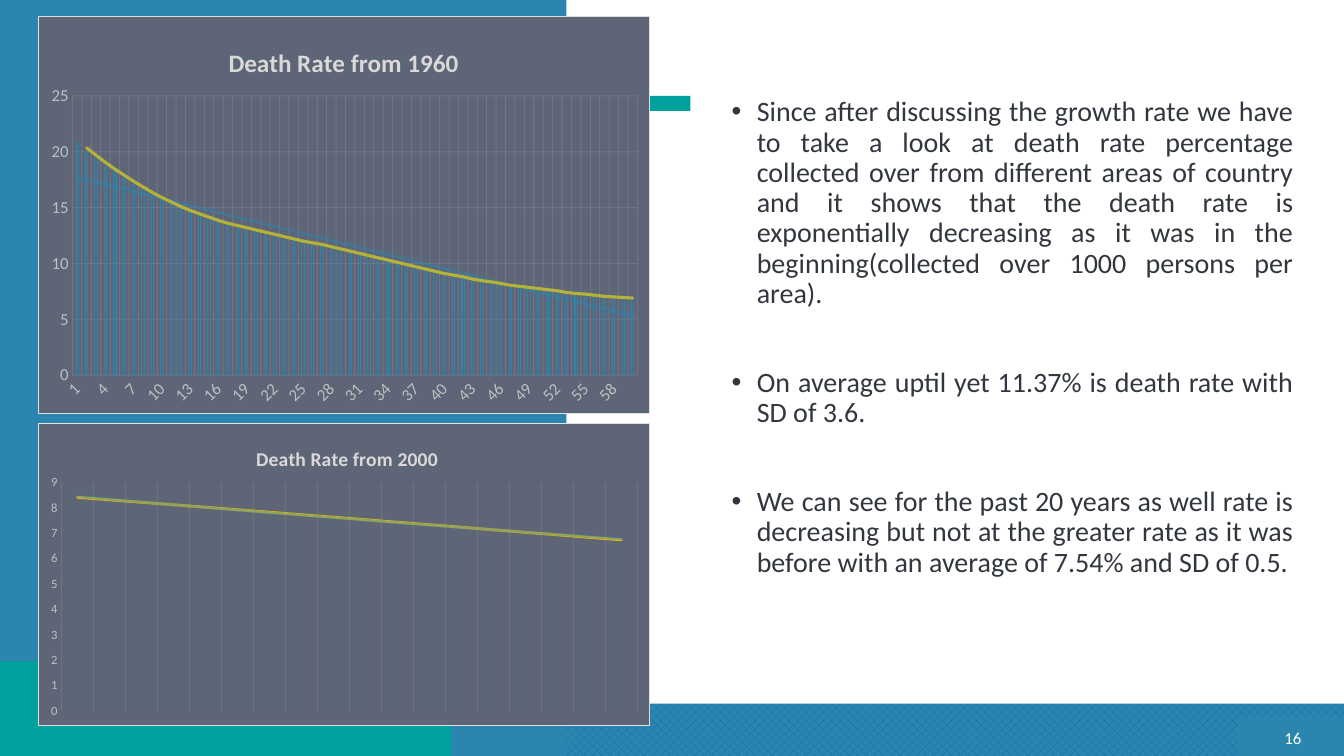
from dataclasses import dataclass
from typing import Any

from lxml import etree
from pptx import Presentation, util as u
from pptx.chart.data import CategoryChartData
from pptx.dml.color import RGBColor
from pptx.enum import chart as ch, dml, shapes, text
from pptx.oxml import parse_xml
from pptx.oxml.ns import nsdecls, qn


@dataclass(frozen=True)
class Theme:
    font: str = "Calibri"
    blue: str = "2C85AE"
    weave: str = "0070C0"
    teal: str = "00A09D"
    white: str = "FFFFFF"
    ink: str = "32363F"
    slate: str = "5E6576"
    border: str = "DEE0E5"
    label: str = "BFBFBF"
    title: str = "D9D9D9"
    gold: str = "FFC000"
    olive: str = "B5B23A"
    body_size: float = 20
    number_size: float = 12
    chart_size: float = 10


@dataclass(frozen=True)
class Box:
    left: float
    top: float
    width: float
    height: float

    def points(self) -> tuple:
        return tuple(u.Pt(v) for v in (self.left, self.top, self.width, self.height))


@dataclass(frozen=True)
class Panel:
    box: Box
    color: str


@dataclass(frozen=True)
class Trend:
    kind: str
    color: str
    width: float
    opacity: int = 100


@dataclass(frozen=True)
class RateChart:
    box: Box
    title: str
    title_size: float
    title_at: tuple[float, float]
    plot_area: tuple[float, float, float, float]
    label_size: float
    top_value: int
    step: int
    rates: list[float]
    bar_opacity: int
    trends: list[Trend]
    show_categories: bool


THEME = Theme()
PANELS = [
    Panel(Box(884.2, 512.6, 75.8, 27.4), THEME.blue),
    Panel(Box(0, 0, 960, 502.6), THEME.white),
    Panel(Box(0, 0, 404.6, 540), THEME.blue),
    Panel(Box(0, 472.3, 322.6, 67.7), THEME.teal),
    Panel(Box(170.6, 68.4, 322.6, 10.8), THEME.teal),
]
FINDINGS = [
    "Since after discussing the growth rate we have to take a look at death rate percentage "
    "collected over from different areas of country and it shows that the death rate is "
    "exponentially decreasing as it was in the beginning(collected over 1000 persons per area).",
    "On average uptil yet 11.37% is death rate with SD of 3.6.",
    "We can see for the past 20 years as well rate is decreasing but not at the greater rate "
    "as it was before with an average of 7.54% and SD of 0.5.",
]
RATES_1960 = [
    20.7, 20, 19.4, 18.7, 18.2, 17.6, 17.1, 16.6, 16.1, 15.7, 15.3, 14.9, 14.6, 14.3, 14,
    13.7, 13.5, 13.3, 13.1, 12.9, 12.7, 12.5, 12.3, 12.1, 11.9, 11.8, 11.6, 11.4, 11.2, 11,
    10.8, 10.6, 10.4, 10.2, 10, 9.8, 9.6, 9.4, 9.2, 9, 8.9, 8.7, 8.5, 8.4, 8.3,
    8.1, 8, 7.9, 7.8, 7.7, 7.6, 7.5, 7.3, 7.3, 7.2, 7.1, 7, 7, 6.9, 6.9,
]
RATES_2000 = [8.5] + RATES_1960[43:]
CHARTS = [
    RateChart(Box(27.4, 11.5, 437, 284.4), "Death Rate from 1960", 18, (0.303, 0.06),
              (0.055, 0.2, 0.925, 0.703), 12, 25, 5, RATES_1960, 100,
              [Trend("linear", THEME.blue, 2, 50), Trend("movingAvg", THEME.olive, 2.25)], True),
    RateChart(Box(27.4, 302.4, 437, 216), "Death Rate from 2000", 14, (0.35, 0.06),
              (0.037, 0.195, 0.943, 0.758), 9, 9, 1, RATES_2000, 10,
              [Trend("linear", THEME.gold, 2), Trend("exp", THEME.blue, 2, 50)], False),
]


def apply(target: Any, values: dict[str, Any]) -> None:
    for name, value in values.items():
        setattr(target, name, value)


def style_font(font: Any, size: float, color: str, bold: bool = False) -> None:
    apply(font, {"name": THEME.font, "size": u.Pt(size), "bold": bold})
    font.color.rgb = RGBColor.from_string(color)


def line_xml(color: str, width: float, opacity: int = 100) -> str:
    return (f'<a:ln w="{int(u.Pt(width))}" cap="rnd"><a:solidFill><a:srgbClr val="{color}">'
            f'<a:alpha val="{opacity * 1000}"/></a:srgbClr></a:solidFill></a:ln>')


def chart_xml(tag: str, content: str) -> Any:
    return parse_xml(f'<c:{tag} {nsdecls("c", "a")}>{content}</c:{tag}>')


def set_layout(parent: Any, index: int, place: tuple, inner: bool = False) -> None:
    """Fix the place of a chart part, as fractions of the chart."""
    for old in parent.findall(qn("c:layout")):
        parent.remove(old)
    target = '<c:layoutTarget val="inner"/>' if inner else ""
    modes = "".join(f'<c:{axis}Mode val="edge"/>' for axis in "xy")
    values = "".join(f'<c:{key} val="{value}"/>' for key, value in zip("xywh", place))
    content = f"<c:manualLayout>{target}{modes}{values}</c:manualLayout>"
    parent.insert(index, chart_xml("layout", content))


def add_trend(series: Any, trend: Trend) -> None:
    period = '<c:period val="2"/>' if trend.kind == "movingAvg" else ""
    line = line_xml(trend.color, trend.width, trend.opacity)
    series.find(qn("c:cat")).addprevious(chart_xml(
        "trendline", f'<c:spPr>{line}</c:spPr><c:trendlineType val="{trend.kind}"/>{period}'
        '<c:dispRSqr val="0"/><c:dispEq val="0"/>'))


def style_axis(axis: Any, size: float, grid: bool) -> None:
    apply(axis, {"major_tick_mark": ch.XL_TICK_MARK.NONE, "has_major_gridlines": grid})
    axis.format.line.fill.background()
    style_font(axis.tick_labels.font, size, THEME.label)
    if grid:
        lines = axis.major_gridlines.format.line
        lines.width = u.Pt(0.75)
        lines.color.rgb = RGBColor.from_string(THEME.white)


def add_rate_chart(page: Any, item: RateChart) -> None:
    data = CategoryChartData()
    data.categories = [str(year) for year in range(1, len(item.rates) + 1)]
    data.add_series("Series 1", item.rates)
    chart = page.shapes.add_chart(
        ch.XL_CHART_TYPE.COLUMN_CLUSTERED, *item.box.points(), data).chart
    apply(chart, {"has_legend": False, "has_title": True})
    style_font(chart.font, THEME.chart_size, THEME.ink)
    root = chart.element
    root.find(qn("c:chart")).addnext(chart_xml(
        "spPr", f'<a:solidFill><a:srgbClr val="{THEME.slate}"/></a:solidFill>'
        + line_xml(THEME.border, 0.75)))

    para = chart.chart_title.text_frame.paragraphs[0]
    span = para.add_run()
    span.text = item.title
    style_font(span.font, item.title_size, THEME.title, True)
    set_layout(root.find(f".//{qn('c:title')}"), 1, item.title_at)
    set_layout(root.find(f".//{qn('c:plotArea')}"), 0, item.plot_area, True)

    style_axis(chart.category_axis, item.label_size, True)
    style_axis(chart.value_axis, item.label_size, item.show_categories)
    apply(chart.value_axis, {"minimum_scale": 0, "maximum_scale": item.top_value,
                             "major_unit": item.step})
    chart.category_axis.visible = item.show_categories
    if item.show_categories:
        axis = root.find(f".//{qn('c:catAx')}")
        axis.find(f".//{qn('a:bodyPr')}").set("rot", "-2700000")
        axis.find(qn("c:noMultiLvlLbl")).addprevious(
            parse_xml(f'<c:tickLblSkip {nsdecls("c")} val="3"/>'))

    plot = chart.plots[0]
    apply(plot, {"gap_width": 315, "overlap": -40, "vary_by_categories": False})
    bars = plot.series[0]
    bars.format.fill.background()
    bars.format.line.width = u.Pt(0.75)
    bars.format.line.color.rgb = RGBColor.from_string(THEME.blue)
    faded = [(bars._element.find(qn("c:spPr")), item.bar_opacity)]
    faded += [(grid, 10) for grid in root.iter(qn("c:majorGridlines"))]
    for part, opacity in faded:
        for color in part.iter(qn("a:srgbClr")):
            etree.SubElement(color, qn("a:alpha")).set("val", str(opacity * 1000))
    for trend in item.trends:
        add_trend(bars._element, trend)


def add_panel(page: Any, panel: Panel) -> None:
    shape = page.shapes.add_shape(shapes.MSO_SHAPE.RECTANGLE, *panel.box.points())
    shape.shadow.inherit = False
    shape.fill.solid()
    shape.fill.fore_color.rgb = RGBColor.from_string(panel.color)
    shape.line.fill.background()


def add_findings(page: Any, box: Box) -> None:
    frame = page.shapes.add_textbox(*box.points()).text_frame
    frame.word_wrap = True
    for index, finding in enumerate(FINDINGS):
        para = frame.add_paragraph() if index else frame.paragraphs[0]
        para.text = finding
        apply(para, {"alignment": text.PP_ALIGN.JUSTIFY, "line_spacing": 0.9,
                     "space_before": u.Pt(42 if index else 0)})
        props = para._p.get_or_add_pPr()
        props.set("marL", str(u.Pt(18)))
        props.set("indent", str(u.Pt(-18)))
        etree.SubElement(props, qn("a:buFont")).set("typeface", "Arial")
        etree.SubElement(props, qn("a:buChar")).set("char", "•")
        style_font(para.font, THEME.body_size, THEME.ink)


def add_page_number(page: Any, box: Box) -> None:
    frame = page.shapes.add_textbox(*box.points()).text_frame
    apply(frame, {"word_wrap": True, "vertical_anchor": text.MSO_ANCHOR.MIDDLE})
    para = frame.paragraphs[0]
    apply(para, {"text": "16", "alignment": text.PP_ALIGN.RIGHT})
    style_font(para.font, THEME.number_size, THEME.white)


def main() -> None:
    deck = Presentation()
    apply(deck, {"slide_width": u.Pt(960), "slide_height": u.Pt(540)})
    page = deck.slides.add_slide(deck.slide_layouts[6])
    fill = page.background.fill
    fill.patterned()
    fill.pattern = dml.MSO_PATTERN.WEAVE
    fill.fore_color.rgb = RGBColor.from_string(THEME.weave)
    fill.back_color.rgb = RGBColor.from_string(THEME.blue)
    for panel in PANELS:
        add_panel(page, panel)
    add_findings(page, Box(515.5, 66.2, 415.4, 361.4))
    add_page_number(page, Box(907.2, 518.4, 29.5, 16.6))
    for item in CHARTS:
        add_rate_chart(page, item)
    deck.save("out.pptx")


if __name__ == "__main__":
    main()
